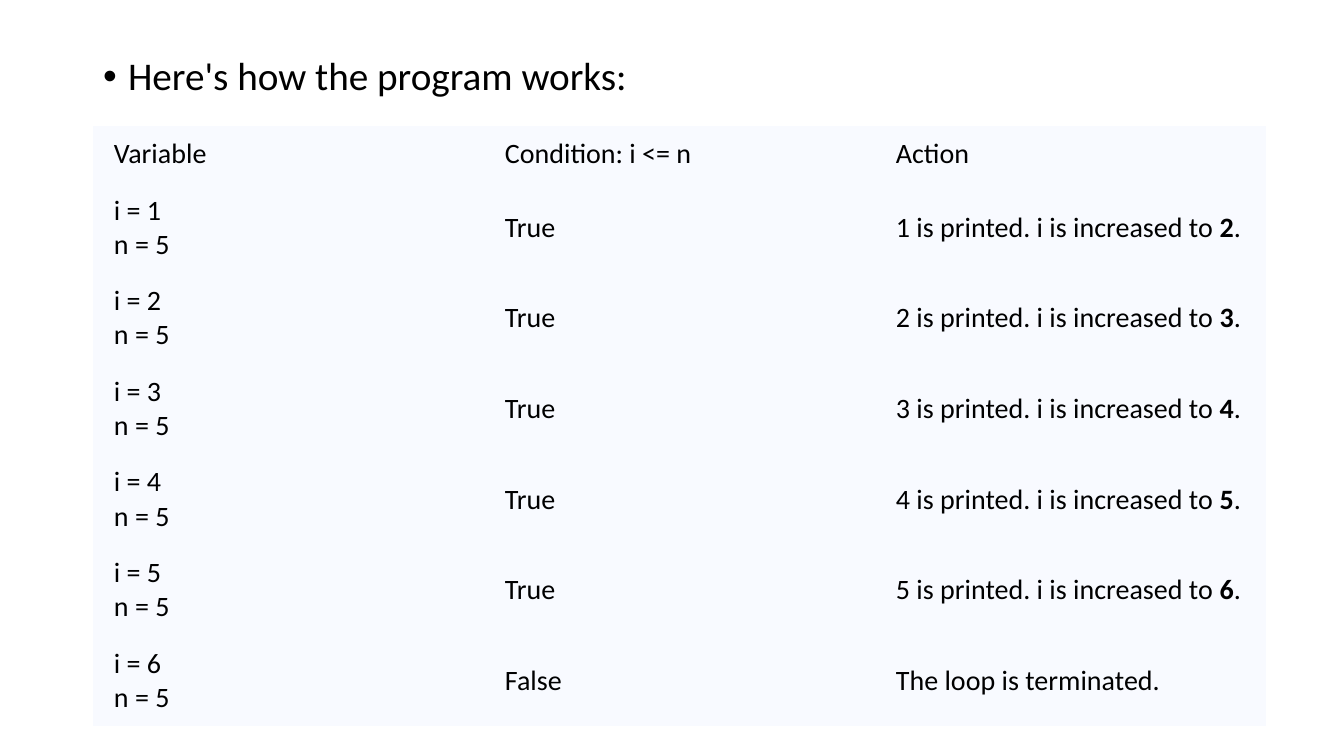
import pptx
import pptx.util
import pptx.dml.color
import pptx.enum.text
import pptx.oxml.ns
import lxml.etree
from dataclasses import dataclass

PX = 914400 / 100.8  # EMU in one px
PLAIN = "{2D5ABB26-0587-4C30-8999-92F81FD0307C}"  # table style with no grid


@dataclass(frozen=True)
class Theme:
    font: str = "Calibri"
    ink: str = "000000"
    cell: str = "F8FAFF"
    head: int = 28
    body: int = 20


THEME = Theme()


def px(num):
    return pptx.util.Emu(round(num * PX))


def color(code):
    return pptx.dml.color.RGBColor.from_string(code)


def write(para, text, size=THEME.body, bold=False):
    """Add text to a paragraph; a newline becomes a line break."""
    for num, line in enumerate(text.split("\n")):
        if num:
            para.add_line_break()
        run = para.add_run()
        run.text = line
        run.font.name = THEME.font
        run.font.size = pptx.util.Pt(size)
        run.font.bold = bold
        run.font.color.rgb = color(THEME.ink)


def bullet(para, indent):
    props = para._p.get_or_add_pPr()
    props.set("marL", str(px(indent)))
    props.set("indent", str(-px(indent)))
    tag = pptx.oxml.ns.qn
    lxml.etree.SubElement(props, tag("a:buFont"), typeface="Arial")
    lxml.etree.SubElement(props, tag("a:buChar"), char="•")


def intro(shape, text):
    shape.left, shape.top = px(93), px(52)
    shape.width, shape.height = px(1159), px(629)
    para = shape.text_frame.paragraphs[0]
    para.line_spacing = 0.9
    para.space_before = pptx.util.Pt(10)
    bullet(para, 25)
    write(para, text, size=THEME.head)


def fill(cell, parts):
    """Style one cell; every second part of its text is bold."""
    cell.fill.solid()
    cell.fill.fore_color.rgb = color(THEME.cell)
    cell.vertical_anchor = pptx.enum.text.MSO_ANCHOR.MIDDLE
    cell.margin_left = cell.margin_right = px(21)
    cell.margin_top = cell.margin_bottom = px(11)
    para = cell.text_frame.paragraphs[0]
    for num, part in enumerate(parts):
        write(para, part, bold=num % 2 == 1)


def grid(slide, rows):
    wide, first, high = 391, 56, 87
    count = len(rows[0])
    frame = slide.shapes.add_table(
        len(rows), count, px(93), px(126),
        px(wide * count), px(first + high * (len(rows) - 1)))
    table = frame.table
    table.first_row = table.horz_banding = False
    table._tbl.tblPr.find(pptx.oxml.ns.qn("a:tableStyleId")).text = PLAIN
    for col in table.columns:
        col.width = px(wide)
    for num, row in enumerate(rows):
        table.rows[num].height = px(high if num else first)
        for col, parts in enumerate(row):
            fill(table.cell(num, col), parts)


def steps(last):
    """Trace the loop from i = 1 until i passes the last number."""
    rows = [(["Variable"], ["Condition: i <= n"], ["Action"])]
    for i in range(1, last + 2):
        true = i <= last
        act = ([f"{i} is printed. i is increased to ", str(i + 1), "."]
               if true else ["The loop is terminated."])
        rows.append(([f"i = {i}\nn = {last}"], [str(true)], act))
    return rows


def main():
    deck = pptx.Presentation()
    deck.slide_width, deck.slide_height = px(1344), px(756)

    # Body layout; the slide has no title
    slide = deck.slides.add_slide(deck.slide_layouts[1])
    title = slide.shapes.title
    title.element.getparent().remove(title.element)

    # Lead line and trace table
    intro(slide.placeholders[1], "Here's how the program works:")
    grid(slide, steps(5))
    deck.save("out.pptx")


if __name__ == "__main__":
    main()
